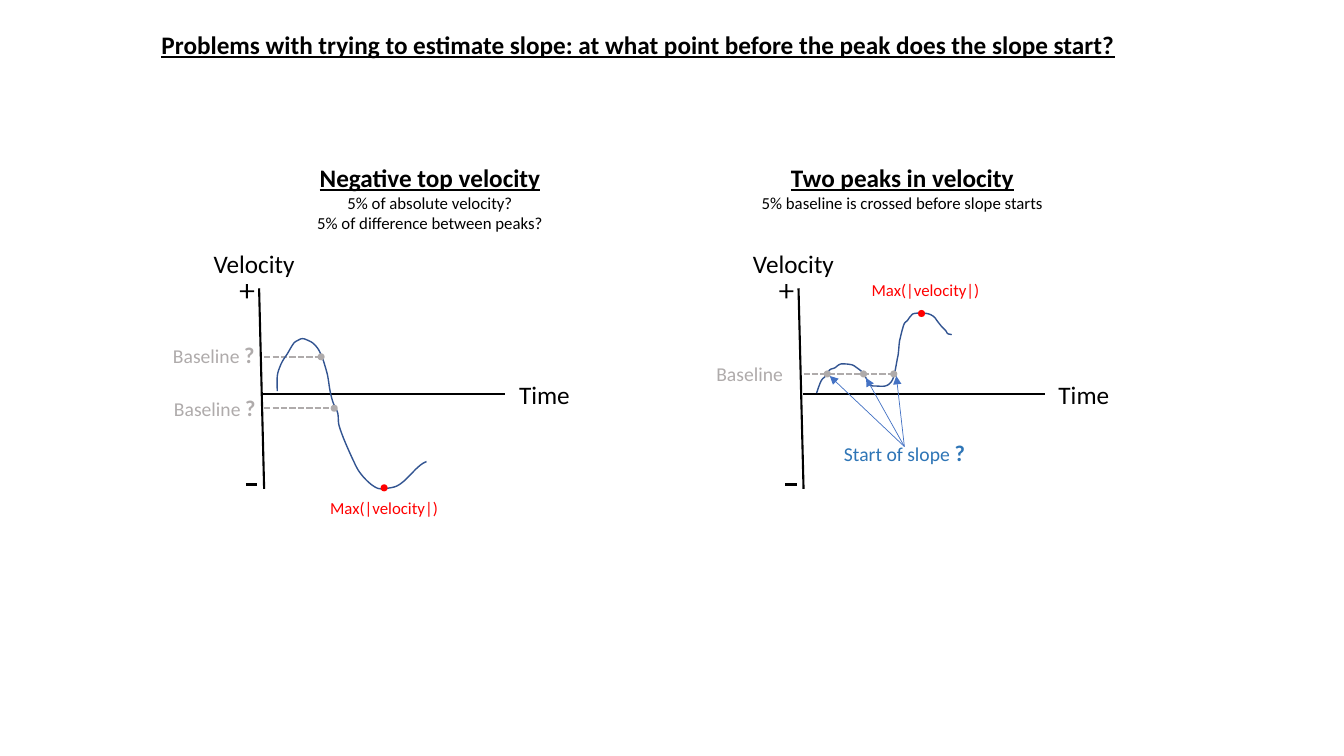
from dataclasses import dataclass

from lxml.etree import SubElement
from pptx import Presentation
from pptx.dml.color import RGBColor
from pptx.enum.dml import MSO_LINE
from pptx.enum.shapes import MSO_CONNECTOR, MSO_SHAPE
from pptx.enum.text import PP_ALIGN
from pptx.oxml.ns import qn
from pptx.util import Inches, Pt

BLACK = RGBColor(0x00, 0x00, 0x00)
GRAY = RGBColor(0xAF, 0xAB, 0xAB)
RED = RGBColor(0xFF, 0x00, 0x00)
CURVE_BLUE = RGBColor(0x32, 0x54, 0x91)
ARROW_BLUE = RGBColor(0x44, 0x72, 0xC4)
TEXT_BLUE = RGBColor(0x2E, 0x75, 0xB6)
FONT = "Calibri"
CELL = Inches(0.1)
DOT = 0.7

NEGATIVE_CURVE = [
    (13.5, 23.8), (13.5, 22.3), (13.8, 21.3), (14.1, 20.7), (14.5, 20.1), (15.1, 19.1),
    (15.5, 18.8), (16, 18.6), (16.6, 18.8), (17.1, 19.1), (17.6, 19.7), (18, 20.6),
    (18.2, 21.2), (18.5, 22.3), (18.7, 23.6), (18.9, 24.5), (19.1, 25.1), (19.5, 26),
    (19.6, 27.1), (20, 28.3), (20.5, 29.5), (21, 30.6), (21.5, 31.6), (22.2, 32.5),
    (23, 33.2), (23.7, 33.5), (24.7, 33.4), (25.4, 33.2), (26.1, 32.7), (26.7, 32.1),
    (27.4, 31.4), (27.9, 31), (28.3, 30.8),
]
TWO_PEAK_CURVE = [
    (13.5, 24), (13.7, 23.4), (14, 22.7), (14.4, 22.3), (14.8, 21.7), (15.3, 21.5),
    (15.7, 21.2), (16.1, 21.1), (17, 21.2), (17.5, 21.5), (18, 21.9), (18.4, 22.5),
    (18.8, 23.2), (19.4, 23.3), (20.3, 23.3), (20.8, 23), (21.1, 22.5), (21.3, 21.7),
    (21.5, 20.6), (21.6, 20.1), (21.7, 19), (21.8, 18.5), (22, 17.7), (22.2, 17.1),
    (22.5, 16.8), (22.8, 16.4), (23.2, 16.1), (24.4, 16.1), (25.1, 16.4), (25.5, 16.9),
    (25.9, 17.4), (26.3, 17.8), (26.5, 18.1), (26.9, 18.2),
]


@dataclass
class Box:
    left: float
    top: float

    def place(self, column, row):
        return round((self.left + column) * CELL), round((self.top + row) * CELL)


def style_font(font, size, color, bold=False, underline=False):
    font.name, font.size, font.bold, font.underline = FONT, Pt(size), bold, underline
    font.color.rgb = color


def add_text(page, box, area, lines, size, color=BLACK, align=PP_ALIGN.CENTER,
             heading=False, mark=""):
    column, row, width, height = area
    label = page.shapes.add_textbox(*box.place(column, row), round(width * CELL), round(height * CELL))
    frame = label.text_frame
    frame.word_wrap = True
    for index, line in enumerate(lines):
        para = frame.add_paragraph() if index else frame.paragraphs[0]
        para.alignment = align
        is_heading = heading and index == 0
        line_size = 12 if index else size
        if not mark:
            para.add_run().text = line
            style_font(para.font, line_size, color, is_heading, is_heading)
            continue
        for words, span_size, bold in ((line + " ", size, False), (mark, size + 2, True)):
            span = para.add_run()
            span.text = words
            style_font(span.font, span_size, color, bold)


def add_line(page, box, start, end, color=BLACK, weight=1.5, dashed=False, arrow=False):
    line = page.shapes.add_connector(MSO_CONNECTOR.STRAIGHT, *box.place(*start), *box.place(*end))
    line.line.color.rgb = color
    line.line.width = Pt(weight)
    if dashed:
        line.line.dash_style = MSO_LINE.SQUARE_DOT
    properties = line._element.spPr
    if arrow:
        SubElement(properties.find(qn("a:ln")), qn("a:tailEnd"), type="triangle")
    SubElement(properties, qn("a:effectLst"))


def add_mark(page, box, kind, center, size, color):
    corner = box.place(center[0] - size / 2, center[1] - size / 2)
    mark = page.shapes.add_shape(kind, *corner, round(size * CELL), round(size * CELL))
    mark.shadow.inherit = False
    mark.fill.solid()
    mark.fill.fore_color.rgb = color
    mark.line.fill.background()
    return mark


def smooth(points, steps=4):
    padded = [points[0], *points, points[-1]]
    result = [points[0]]
    for a, b, c, d in zip(padded, padded[1:], padded[2:], padded[3:]):
        for step in range(1, steps + 1):
            t = step / steps
            result.append(tuple(
                q + t * (r - p) / 2 + t ** 2 * (p - 2.5 * q + 2 * r - s / 2)
                + t ** 3 * (3 * q - 3 * r + s - p) / 2
                for p, q, r, s in zip(a, b, c, d)))
    return result


def add_curve(page, box, points):
    start, *rest = [box.place(*point) for point in smooth(points)]
    builder = page.shapes.build_freeform(*start)
    builder.add_line_segments(rest, close=False)
    curve = builder.convert_to_shape()
    curve.shadow.inherit = False
    curve.fill.background()
    curve.line.color.rgb = CURVE_BLUE
    curve.line.width = Pt(1)


def add_panel(page, box, heading, heading_area, curve, baselines, dots, peak, peak_label):
    add_line(page, box, (12.1, 24.1), (36.1, 24.1))
    add_line(page, box, (12.2, 33.5), (11.7, 13.6))
    add_text(page, box, (36.5, 22.1, 7.3, 4), ["Time"], 18, align=PP_ALIGN.LEFT)
    add_text(page, box, (6.2, 9.1, 11, 4), ["Velocity"], 18, align=PP_ALIGN.LEFT)
    plus = add_mark(page, box, MSO_SHAPE.CROSS, (10.5, 13.9), 1.4, BLACK)
    plus.adjustments[0] = 0.43
    add_line(page, box, (10.4, 33.1), (11.5, 33.1), weight=2.25)
    for row, end, label_area, mark in baselines:
        add_line(page, box, (12.2, row), (end, row), GRAY, dashed=True)
        add_text(page, box, label_area, ["Baseline"], 14, GRAY, mark=mark)
    add_curve(page, box, curve)
    for dot in dots:
        add_mark(page, box, MSO_SHAPE.OVAL, dot, DOT, GRAY)
    add_mark(page, box, MSO_SHAPE.OVAL, peak, DOT, RED)
    add_text(page, box, (*peak_label, 15.6, 3), ["Max(|velocity|)"], 12, RED)
    add_text(page, box, heading_area, heading, 18, heading=True)


def add_slope_question(page, box):
    add_text(page, box, (14.6, 28.1, 15.2, 3.7), ["Start of slope"], 14, TEXT_BLUE, mark="?")
    for target in ((18.4, 22.5), (14.8, 22.3), (21.4, 22.3)):
        add_line(page, box, (22.2, 29.3), target, ARROW_BLUE, 0.5, arrow=True)


deck = Presentation()
deck.slide_width, deck.slide_height = Inches(13.33), Inches(7.5)
page = deck.slides.add_slide(deck.slide_layouts[6])

add_text(page, Box(0, 0), (14.5, 2.4, 97.6, 4),
         ["Problems with trying to estimate slope: at what point before the peak does the slope start?"],
         18, heading=True)

add_panel(page, Box(14, 15),
          ["Negative top velocity", "5% of absolute velocity?", "5% of difference between peaks?"],
          (14, 0.6, 29.3, 8.1), NEGATIVE_CURVE,
          [(25.5, 18.6, (0.6, 23.6, 13.4, 3.7), "?"), (20.4, 17.5, (0.5, 18.4, 13.4, 3.7), "?")],
          [(19.15, 25.5), (17.85, 20.4)], (24.1, 33.4), (16.3, 33.9))

two_peaks = Box(67.5, 15)
add_panel(page, two_peaks,
          ["Two peaks in velocity", "5% baseline is crossed before slope starts"],
          (6.8, 0.6, 30.4, 6.1), TWO_PEAK_CURVE,
          [(22.1, 21.2, (0.9, 20.4, 11.9, 3.4), "")],
          [(column, 22.1) for column in (14.55, 18.15, 21.15)], (23.9, 16.1), (16.5, 12.3))
add_slope_question(page, two_peaks)

deck.save("out.pptx")
